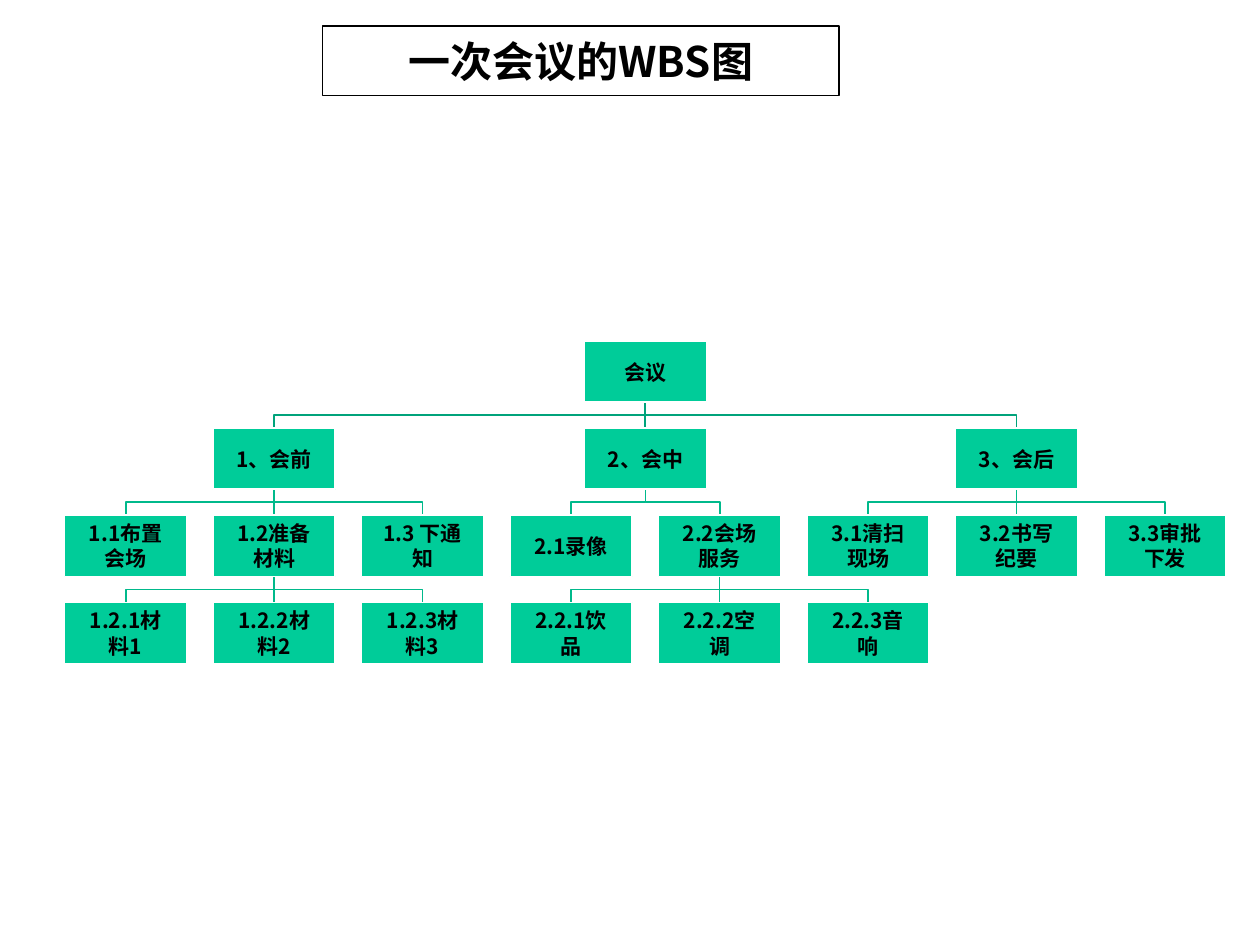
from dataclasses import dataclass

from lxml import etree
from pptx import Presentation
from pptx.dml.color import RGBColor
from pptx.enum.shapes import MSO_CONNECTOR, MSO_SHAPE
from pptx.enum.text import MSO_ANCHOR, PP_ALIGN
from pptx.oxml.ns import qn
from pptx.util import Pt

RECTANGLE = MSO_SHAPE.RECTANGLE
STRAIGHT = MSO_CONNECTOR.STRAIGHT
MIDDLE = MSO_ANCHOR.MIDDLE
CENTER = PP_ALIGN.CENTER


@dataclass(frozen=True)
class Theme:
    font: str = "Noto Sans CJK SC"
    title_size: float = 24
    node_size: float = 12
    black: str = "000000"
    white: str = "FFFFFF"
    green: str = "00CC99"
    top_link: str = "00A37B"
    lower_link: str = "00B98B"


THEME = Theme()

# Tree grid, in points
FIRST_CENTER, COLUMN_STEP = 71.8, 84.85
FIRST_TOP, ROW_STEP = 194.85, 49.8
NODE_WIDTH, NODE_HEIGHT = 70, 35
ROOT_COLUMN, PHASE_SPREAD = 3.5, 2.5

# Each node: lines of its label, then its children
MATERIALS = [(("1.2.1材", "料1"), []), (("1.2.2材", "料2"), []), (("1.2.3材", "料3"), [])]
SERVICES = [(("2.2.1饮", "品"), []), (("2.2.2空", "调"), []), (("2.2.3音", "响"), [])]
BEFORE = [(("1.1布置", "会场"), []), (("1.2准备", "材料"), MATERIALS), (("1.3 下通", "知"), [])]
DURING = [(("2.1录像",), []), (("2.2会场", "服务"), SERVICES)]
AFTER = [(("3.1清扫", "现场"), []), (("3.2书写", "纪要"), []), (("3.3审批", "下发"), [])]
MEETING = (("会议",), [(("1、会前",), BEFORE), (("2、会中",), DURING), (("3、会后",), AFTER)])


def color(value):
    return RGBColor.from_string(value)


def add_box(page, left, top, width, height, fill, line, line_width):
    box = page.shapes.add_shape(RECTANGLE, Pt(left), Pt(top), Pt(width), Pt(height))
    box.shadow.inherit = False
    box.fill.solid()
    box.fill.fore_color.rgb = color(fill)
    box.line.color.rgb = color(line)
    box.line.width = Pt(line_width)
    return box


def write_lines(box, lines, size, wrap, inset=None):
    frame = box.text_frame
    frame.word_wrap = wrap
    frame.vertical_anchor = MIDDLE
    if inset is not None:
        frame.margin_left = frame.margin_right = Pt(inset)
        frame.margin_top = frame.margin_bottom = Pt(inset)
    for index, line in enumerate(lines):
        para = frame.add_paragraph() if index else frame.paragraphs[0]
        para.alignment = CENTER
        span = para.add_run()
        span.text = line
        span.font.size = Pt(size)
        span.font.bold = True
        span.font.name = THEME.font
        span.font.color.rgb = color(THEME.black)
        east_asian = etree.SubElement(span.font._element, qn("a:ea"))
        east_asian.set("typeface", THEME.font)


def add_title(page):
    box = add_box(page, 184.3, 14.9, 295.2, 39.6, THEME.white, THEME.black, 0.75)
    write_lines(box, ["一次会议的WBS图"], THEME.title_size, wrap=False)


def add_link(page, parent, child, row):
    """Join a parent in the given row to a child in the next one."""
    start_x, end_x = (Pt(FIRST_CENTER + column * COLUMN_STEP) for column in (parent, child))
    start_y = Pt(FIRST_TOP + row * ROW_STEP + NODE_HEIGHT)
    end_y = Pt(FIRST_TOP + (row + 1) * ROW_STEP)
    if start_x == end_x:
        link = page.shapes.add_connector(STRAIGHT, start_x, start_y, end_x, end_y)
        etree.SubElement(link._element.spPr, qn("a:effectLst"))
    else:
        middle_y = (start_y + end_y) // 2
        outline = page.shapes.build_freeform(start_x, start_y)
        bends = [(start_x, middle_y), (end_x, middle_y), (end_x, end_y)]
        outline.add_line_segments(bends, close=False)
        link = outline.convert_to_shape()
        link.shadow.inherit = False
        link.fill.background()
    link.line.color.rgb = color(THEME.lower_link if row else THEME.top_link)
    link.line.width = Pt(1)


def place_children(children, column, row):
    """Centre the children below their parent."""
    spread = 1 if row else PHASE_SPREAD
    first = column - spread * (len(children) - 1) / 2
    return [(child, first + spread * index) for index, child in enumerate(children)]


def add_links(page, node, column, row=0):
    for child, child_column in place_children(node[1], column, row):
        add_link(page, column, child_column, row)
        add_links(page, child, child_column, row + 1)


def add_nodes(page, node, column, row=0):
    lines, children = node
    left = FIRST_CENTER + column * COLUMN_STEP - NODE_WIDTH / 2
    top = FIRST_TOP + row * ROW_STEP
    box = add_box(page, left, top, NODE_WIDTH, NODE_HEIGHT, THEME.green, THEME.white, 1)
    write_lines(box, lines, THEME.node_size, wrap=True, inset=0.7)
    for child, child_column in place_children(children, column, row):
        add_nodes(page, child, child_column, row + 1)


def main():
    deck = Presentation()
    deck.slide_width, deck.slide_height = Pt(720), Pt(540)
    page = deck.slides.add_slide(deck.slide_layouts[6])
    page.background.fill.solid()
    page.background.fill.fore_color.rgb = color(THEME.white)

    add_title(page)
    # Links lie behind the nodes
    add_links(page, MEETING, ROOT_COLUMN)
    add_nodes(page, MEETING, ROOT_COLUMN)
    deck.save("out.pptx")


if __name__ == "__main__":
    main()
